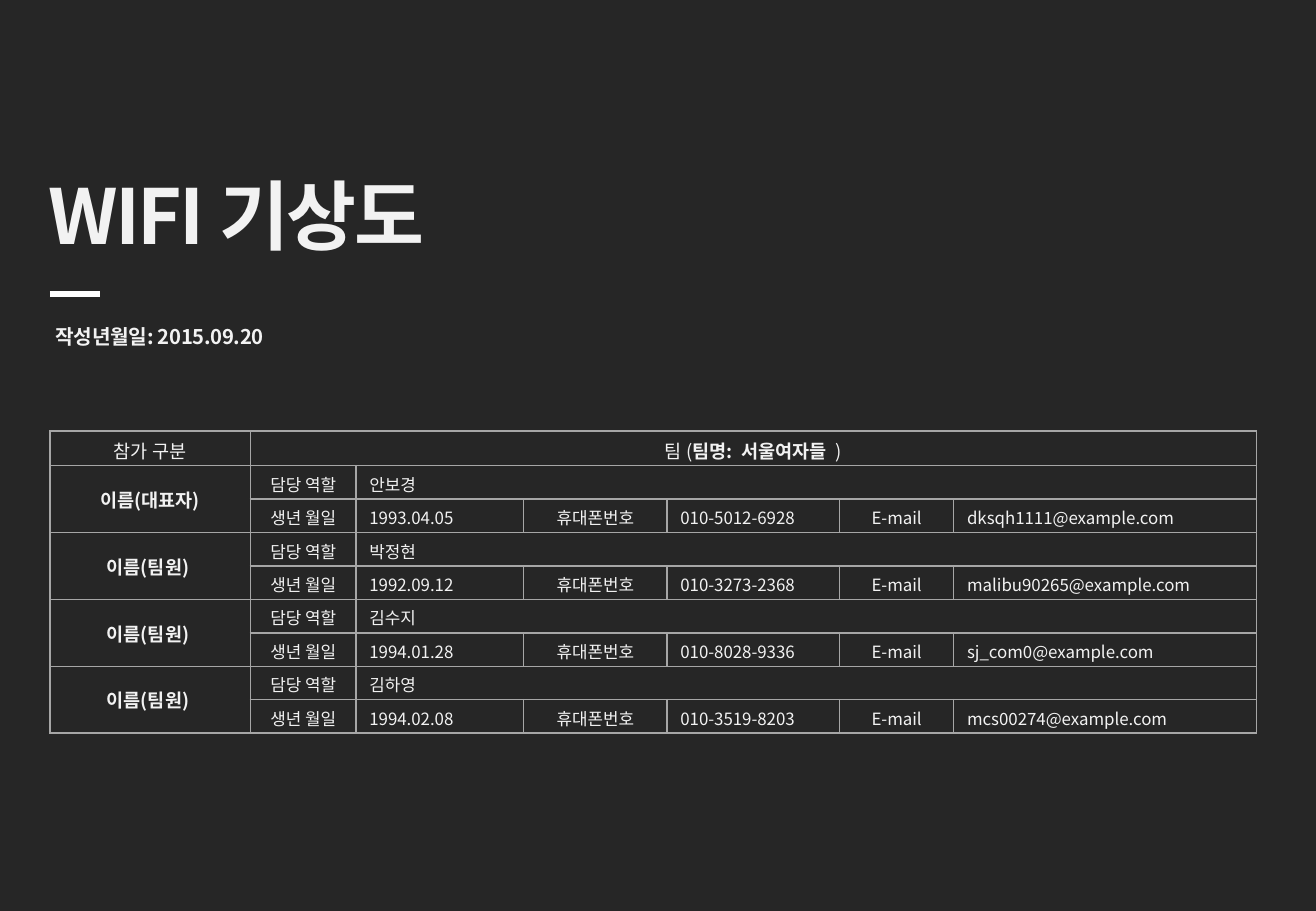
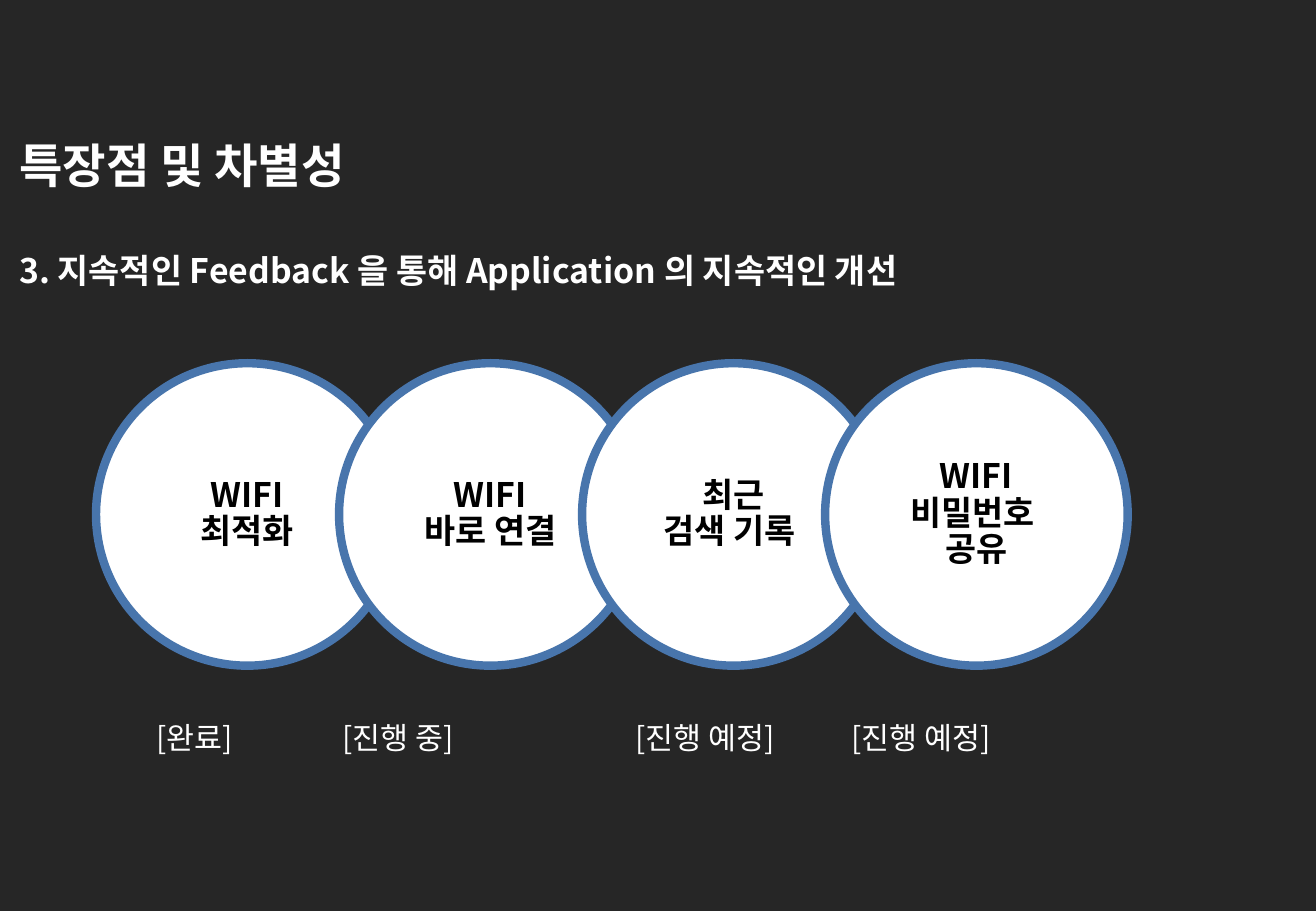
from lxml import etree
from pptx import Presentation
from pptx.dml.color import RGBColor
from pptx.enum.shapes import MSO_CONNECTOR, MSO_SHAPE
from pptx.enum.text import MSO_ANCHOR, PP_ALIGN
from pptx.oxml.ns import qn
from pptx.util import Inches, Pt

LEFT, CENTER = PP_ALIGN.LEFT, PP_ALIGN.CENTER
MIDDLE = MSO_ANCHOR.MIDDLE
FONT = "Noto Sans CJK KR"
DARK, PALE, WHITE, BLACK = "262626", "F2F2F2", "FFFFFF", "000000"
GRID, RING = "A6A6A6", "4875AC"


def rgb(value):
    return RGBColor.from_string(value)


def style(paragraph, size, color, bold=False, align=LEFT, tracking=0):
    """Set the paragraph's font for Latin and Korean; tracking is in points."""
    paragraph.alignment = align
    font = paragraph.font
    font.size, font.bold, font.name = Pt(size), bold, FONT
    font.color.rgb = rgb(color)
    props = paragraph._p.pPr.find(qn("a:defRPr"))
    latin = props.find(qn("a:latin"))
    east_asian = etree.Element(qn("a:ea"), typeface=FONT)
    latin.addnext(east_asian)
    if tracking:
        props.set("spc", str(round(tracking * 100)))


prs = Presentation()
prs.slide_width, prs.slide_height = Inches(10.83), Inches(7.5)
cover, strengths = [prs.slides.add_slide(prs.slide_layouts[6]) for _ in range(2)]
for slide in (cover, strengths):
    slide.background.fill.solid()
    slide.background.fill.fore_color.rgb = rgb(DARK)

# Cover: date, rule and title
for text, top, left, width, height, size, spacing, tracking in [
    ("작성년월일: 2015.09.20", 2.74, 0.36, 3.3, 0.49, 12, 6, -0.2),
    ("WIFI 기상도", 1.31, 0.3, 8.76, 0.89, 45, 56, -1.5),
]:
    frame = cover.shapes.add_textbox(
        Inches(left), Inches(top), Inches(width), Inches(height)).text_frame
    frame.word_wrap = True
    line = frame.paragraphs[0]
    line.text = text
    line.line_spacing = Pt(spacing)
    style(line, size, PALE, bold=True, tracking=tracking)

rule = cover.shapes.add_connector(
    MSO_CONNECTOR.STRAIGHT, Inches(0.41), Inches(2.42), Inches(0.82), Inches(2.42))
rule.line.color.rgb = rgb(WHITE)
rule.line.width = Pt(4)
etree.SubElement(rule._element.spPr, qn("a:effectLst"))

# Cover: team table, two rows for each member
members = [
    ("이름(대표자)", "안보경", "1993.04.05", "010-5012-6928", "dksqh1111@example.com"),
    ("이름(팀원) ", "박정현", "1992.09.12", "010-3273-2368", "malibu90265@example.com"),
    ("이름(팀원) ", "김수지", "1994.01.28", "010-8028-9336", "sj_com0@example.com"),
    ("이름(팀원) ", "김하영", "1994.02.08", "010-3519-8203", "mcs00274@example.com"),
]
rows = [["참가 구분"] + [""] * 6]
for name, role, birth, phone, mail in members:
    rows.append([name, "담당 역할", role, "", "", "", ""])
    rows.append(["", "생년 월일", birth, "휴대폰번호", phone, "E-mail", mail])

column_widths = [1.65, 0.87, 1.38, 1.18, 1.42, 0.94, 2.49]
value_columns = (2, 4, 6)
team = cover.shapes.add_table(
    len(rows), len(column_widths),
    Inches(0.41), Inches(3.55), Inches(9.93), Inches(2.48)).table
team.first_row = team.horz_banding = False
for column, width in zip(team.columns, column_widths):
    column.width = Inches(width)

for r, row in enumerate(rows):
    for c, text in enumerate(row):
        cell = team.cell(r, c)
        cell.vertical_anchor = MIDDLE
        cell.margin_left = cell.margin_right = Inches(0.11)
        cell.margin_top = cell.margin_bottom = Inches(0.05)
        entry = cell.text_frame.paragraphs[0]
        if (r, c) == (0, 1):
            for part, bold in [("팀 (", False), ("팀명:  서울여자들  ", True), (")", False)]:
                run = entry.add_run()
                run.text, run.font.bold = part, bold
        else:
            entry.text = text
        style(entry, 11 if r == 0 or c == 0 else 10, PALE,
              bold=r > 0 and c == 0,
              align=LEFT if r > 0 and c in value_columns else CENTER)
        borders = cell._tc.get_or_add_tcPr()
        for side in ("lnL", "lnR", "lnT", "lnB"):
            border = etree.SubElement(borders, qn(f"a:{side}"), w=str(Pt(1)))
            fill = etree.SubElement(border, qn("a:solidFill"))
            etree.SubElement(fill, qn("a:srgbClr"), val=GRID)
        cell.fill.solid()
        cell.fill.fore_color.rgb = rgb(DARK)

team.cell(0, 1).merge(team.cell(0, 6))
for r in range(1, len(rows), 2):
    team.cell(r, 0).merge(team.cell(r + 1, 0))
    team.cell(r, 2).merge(team.cell(r, 6))

# Strengths: headings
headings = strengths.shapes.add_textbox(
    Inches(0.06), Inches(1.07), Inches(10.61), Inches(1.38)).text_frame
headings.word_wrap = True
heading = headings.paragraphs[0]
heading.text = "특장점 및 차별성"
style(heading, 28, WHITE, bold=True)
subheading = headings.add_paragraph()
subheading.text = "3. 지속적인 Feedback 을 통해 Application 의 지속적인 개선"
subheading.space_before = Pt(34)
style(subheading, 20, WHITE, bold=True)

# Strengths: overlapping circles
features = ["WIFI\v최적화", "WIFI\v바로 연결", "최근\v검색 기록 ", "WIFI\v비밀번호 \v공유"]
for i, feature in enumerate(features):
    circle = strengths.shapes.add_shape(
        MSO_SHAPE.OVAL, Inches(0.79 + 2 * i), Inches(2.99), Inches(2.49), Inches(2.49))
    circle.shadow.inherit = False
    circle.fill.solid()
    circle.fill.fore_color.rgb = rgb(WHITE)
    circle.line.color.rgb = rgb(RING)
    circle.line.width = Pt(5)
    frame = circle.text_frame
    frame.word_wrap = True
    frame.vertical_anchor = MIDDLE
    frame.margin_left = frame.margin_right = Inches(0.14)
    frame.margin_top = frame.margin_bottom = Inches(0.03)
    label = frame.paragraphs[0]
    label.text = feature
    label.line_spacing = 0.9
    style(label, 20, BLACK, bold=True, align=CENTER)

# Strengths: progress of each feature, set on tab stops
progress = strengths.shapes.add_textbox(
    Inches(0.68), Inches(5.87), Inches(9.37), Inches(0.4)).text_frame
progress.word_wrap = True
states = progress.paragraphs[0]
states.text = "\t[완료]\t[진행 중]\t[진행 예정]\t[진행 예정]"
style(states, 18, WHITE)
tab_stops = etree.Element(qn("a:tabLst"))
for position in (0.51, 2.04, 4.45, 6.23):
    etree.SubElement(tab_stops, qn("a:tab"), pos=str(Inches(position)), algn="l")
states._p.pPr.find(qn("a:defRPr")).addprevious(tab_stops)

prs.save("out.pptx")
